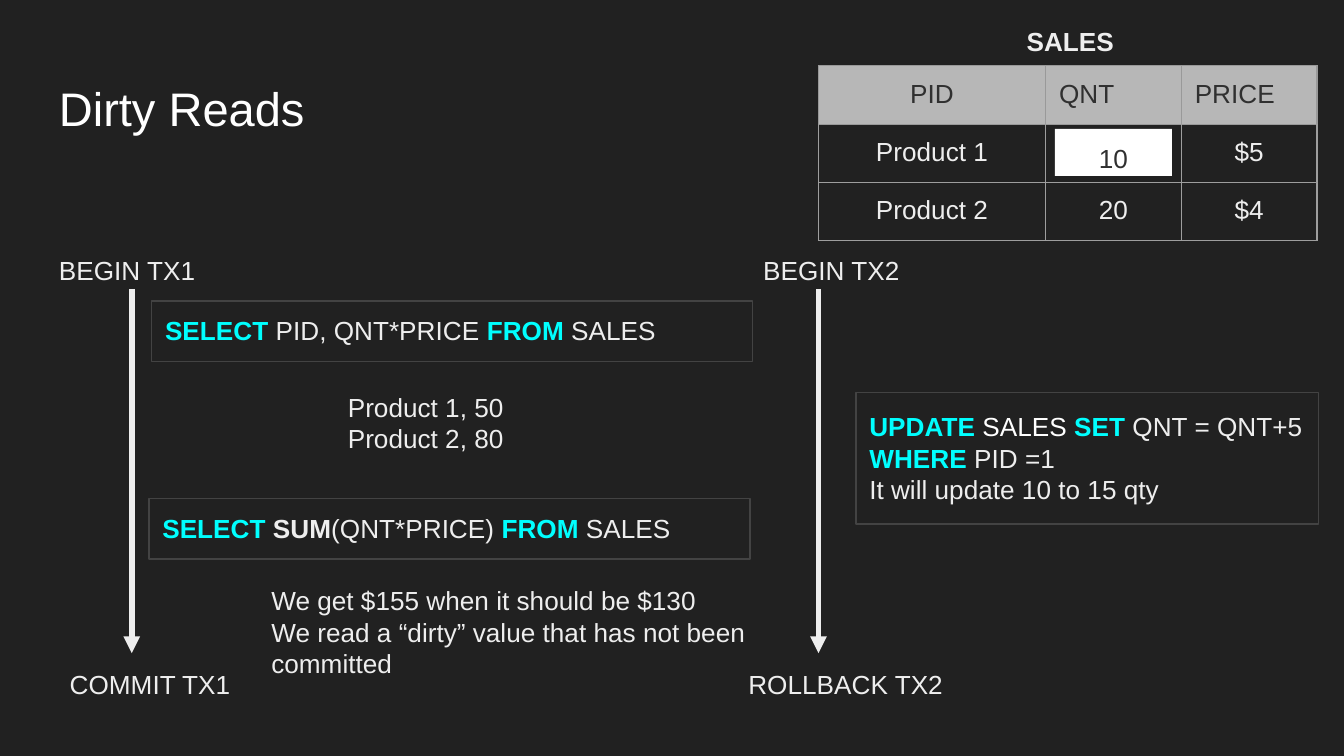
from lxml.etree import SubElement
from pptx import Presentation
from pptx.dml.color import RGBColor
from pptx.enum.shapes import MSO_CONNECTOR, MSO_SHAPE
from pptx.enum.text import MSO_ANCHOR, PP_ALIGN
from pptx.oxml.ns import qn
from pptx.util import Inches, Pt

THEME = {
    "font": "Arial", "size": 14, "title_size": 25.2,
    "background": "212121", "white": "FFFFFF", "text": "EEEEEE", "dark": "303030",
    "keyword": "00FFFF", "header": "B7B7B7", "outline": "434343",
    "header_border": "999999", "body_border": "9E9E9E",
    "arrow_width": 3, "border_width": 0.75,
}
# Run styles: name -> (colour, bold)
STYLES = {
    "plain": ("text", False), "strong": ("text", True), "keyword": ("keyword", True),
    "white": ("white", False), "dark": ("dark", False),
}

# Places are (left, top, width, height) on a grid of 100 columns by 56.25 rows.
COLUMNS, ROWS = 100, 56.25
LABEL_HEIGHT, QUERY_SIZE = 3.5, (44.7, 4.5)
BEGIN_ROW, COMMIT_ROW = 17.9, 48.7
ARROW_ROWS = (21.5, 48.6)

TITLE = ("Dirty Reads", (3.4, 4.9, 24, 6.3))
# Arrow column, then (text, left, width) of the label above and the label below
TRANSACTIONS = [
    (9.8, ("BEGIN TX1", 3.4, 12.2), ("COMMIT TX1", 4.2, 14.5)),
    (60.9, ("BEGIN TX2", 55.8, 12.2), ("ROLLBACK TX2", 54.7, 17.7)),
]
TABLE_NAME = ("SALES", (75.4, 0.9, 9.9, LABEL_HEIGHT))
SALES = [("PID", "QNT", "PRICE"), ("Product 1", "10", "$5"), ("Product 2", "20", "$4")]
TABLE_PLACE = (60.9, 4.9, 37.1, 13)
TABLE_COLUMNS, TABLE_ROWS = (16.9, 10.1, 10.1), (3.7, 4.3, 4.3)
QUANTITY = ("10", (78.5, 9.6, 8.7, 3.5))

QUERIES = [
    ((11.3, 22.4, *QUERY_SIZE), [
        [("SELECT", "keyword"), (" PID, QNT*PRICE ", "plain"),
         ("FROM", "keyword"), (" SALES", "plain")]]),
    ((63.7, 29.2, 34.4, 9.8), [
        [("UPDATE ", "keyword"), ("SALES ", "white"), ("SET ", "keyword"),
         ("QNT = QNT+5", "plain")],
        [("WHERE ", "keyword"), ("PID =1", "plain")],
        [("It will update 10 to 15 qty", "plain")]]),
    ((11.1, 37.1, *QUERY_SIZE), [
        [("SELECT ", "keyword"), ("SUM", "strong"), ("(QNT*PRICE) ", "plain"),
         ("FROM", "keyword"), (" SALES", "plain")]]),
]
RESULTS = [
    ((24.9, 28.1, 13.7, 4.5), ["Product 1, 50", "Product 2, 80"]),
    ((19.2, 42.5, 37.8, 4.5), [
        "We get $155 when it should be $130",
        "We read a “dirty” value that has not been committed"]),
]

deck = Presentation()
deck.slide_width, deck.slide_height = Inches(10), Inches(5.625)
page = deck.slides.add_slide(deck.slide_layouts[6])


def colour(name):
    return RGBColor.from_string(THEME[name])


def across(columns):
    return round(deck.slide_width * columns / COLUMNS)


def down(rows):
    return round(deck.slide_height * rows / ROWS)


def on_grid(place):
    left, top, width, height = place
    return across(left), down(top), across(width), down(height)


def apply(target, values):
    for name, value in values.items():
        setattr(target, name, value)


def write(holder, lines, align=PP_ALIGN.LEFT, size=THEME["size"]):
    """Fill a text frame; each line is a list of (text, style) spans."""
    for number, line in enumerate(lines):
        para = holder.add_paragraph() if number else holder.paragraphs[0]
        para.alignment = align
        for text, style in line:
            span = para.add_run()
            span.text = text
            shade, bold = STYLES[style]
            apply(span.font, {"name": THEME["font"], "size": Pt(size), "bold": bold})
            span.font.color.rgb = colour(shade)


def set_margins(holder):
    apply(holder, {f"margin_{side}": Inches(0.1)
                   for side in ("left", "top", "right", "bottom")})


def set_frame(box, anchor):
    apply(box.text_frame, {"word_wrap": True, "vertical_anchor": anchor})
    set_margins(box.text_frame)
    return box.text_frame


def add_text(place, lines, anchor=MSO_ANCHOR.TOP, **options):
    box = page.shapes.add_textbox(*on_grid(place))
    write(set_frame(box, anchor), lines, **options)


def add_box(place, lines, fill=None, line=None, **options):
    box = page.shapes.add_shape(MSO_SHAPE.RECTANGLE, *on_grid(place))
    box.shadow.inherit = False
    if fill:
        box.fill.solid()
        box.fill.fore_color.rgb = colour(fill)
    else:
        box.fill.background()
    if line:
        box.line.color.rgb = colour(line)
        box.line.width = Pt(THEME["border_width"])
    else:
        box.line.fill.background()
    write(set_frame(box, MSO_ANCHOR.TOP), lines, **options)
    return box


def add_arrow(column):
    start, end = (down(row) for row in ARROW_ROWS)
    arrow = page.shapes.add_connector(
        MSO_CONNECTOR.STRAIGHT, across(column), start, across(column), end)
    arrow.line.color.rgb = colour("text")
    arrow.line.width = Pt(THEME["arrow_width"])
    SubElement(arrow.line._get_or_add_ln(), qn("a:tailEnd"), type="triangle")
    SubElement(arrow._element.spPr, qn("a:effectLst"))


def add_border(cell, side, shade):
    line = SubElement(cell._tc.get_or_add_tcPr(), qn(f"a:ln{side}"),
                      w=str(Pt(THEME["border_width"])))
    fill = SubElement(line, qn("a:solidFill"))
    SubElement(fill, qn("a:srgbClr"), val=THEME[shade])


def add_sales_table():
    frame = page.shapes.add_table(len(SALES), len(SALES[0]), *on_grid(TABLE_PLACE))
    table = frame.table
    apply(table, {"first_row": False, "horz_banding": False})
    for column, width in zip(table.columns, TABLE_COLUMNS):
        column.width = across(width)
    for row, height in zip(table.rows, TABLE_ROWS):
        row.height = down(height)
    frame.height = down(TABLE_PLACE[3])
    for r, record in enumerate(SALES):
        for c, text in enumerate(record):
            cell = table.cell(r, c)
            for side in "LRTB":
                on_header = r == 0 or (r == 1 and side == "T")
                add_border(cell, side, "header_border" if on_header else "body_border")
            if r == 0:
                cell.fill.solid()
                cell.fill.fore_color.rgb = colour("header")
            else:
                cell.fill.background()
            set_margins(cell)
            centred = r > 0 or c == 0
            write(cell.text_frame, [[(text, "plain" if r else "dark")]],
                  align=PP_ALIGN.CENTER if centred else PP_ALIGN.LEFT)


page.background.fill.solid()
page.background.fill.fore_color.rgb = colour("background")

for column, begin, finish in TRANSACTIONS:
    add_arrow(column)
    for (text, left, width), row in ((begin, BEGIN_ROW), (finish, COMMIT_ROW)):
        add_text((left, row, width, LABEL_HEIGHT), [[(text, "plain")]])

add_sales_table()
add_text(TABLE_NAME[1], [[(TABLE_NAME[0], "strong")]])
for place, lines in QUERIES:
    query = add_box(place, lines, line="outline")
    if len(lines) > 1:
        query.text_frame.paragraphs[0].line_spacing = 1.15
for place, lines in RESULTS:
    add_text(place, [[(line, "plain")] for line in lines])
add_text(TITLE[1], [[(TITLE[0], "white")]], MSO_ANCHOR.MIDDLE, size=THEME["title_size"])
add_box(QUANTITY[1], [[(QUANTITY[0], "dark")]], fill="white", align=PP_ALIGN.CENTER)

deck.save("out.pptx")
